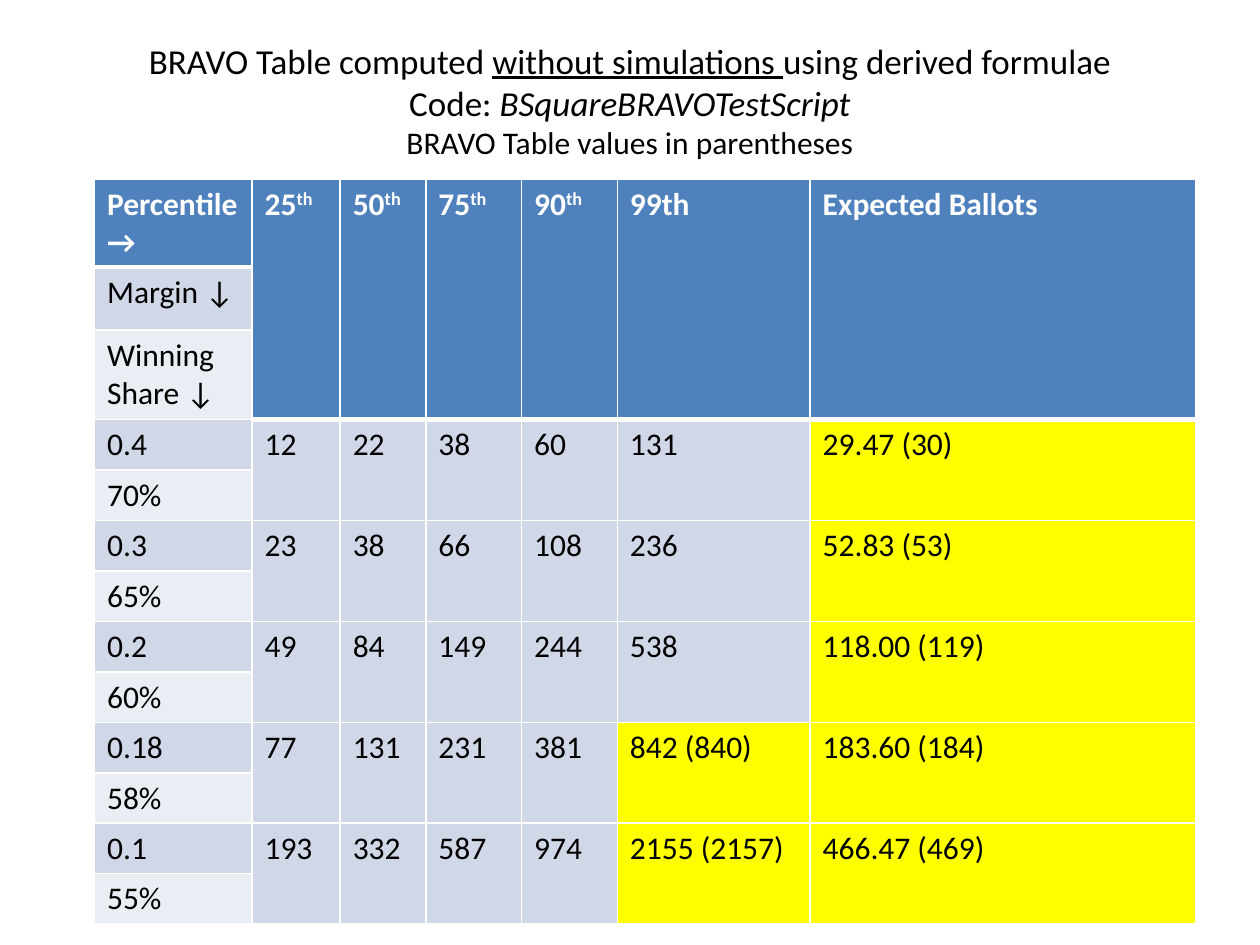
"""Builds the BRAVO table slide of percentiles and expected ballots."""
from dataclasses import dataclass

from lxml import etree
from pptx import Presentation
from pptx import util as u
from pptx.dml.color import RGBColor
from pptx.enum import text
from pptx.oxml.ns import qn

FONT = "Calibri"
BLACK, WHITE, YELLOW = "000000", "FFFFFF", "FFFF00"
BLUE, BAND, LIGHT = "4F81BD", "D0D8E8", "E9EDF4"
COLS = [1.25, 0.7, 0.68, 0.76, 0.76, 1.53, 3.06]
ROWS = [0.7, 0.5, 0.71] + [0.4] * 10
HEAD_ROWS, GROUP_ROWS = 3, 2
HEADERS = ["25th", "50th", "75th", "90th", "99th", "Expected Ballots"]


@dataclass
class Part:
    text: str
    size: int = 20
    underline: bool = False
    italic: bool = False
    ends_line: bool = False


@dataclass
class Group:
    margin: str
    share: str
    values: list[str]


TITLE = [
    Part("BRAVO Table computed "),
    Part("without simulations ", underline=True),
    Part("using derived formulae", ends_line=True),
    Part("Code: "),
    Part("BSquareBRAVOTestScript", italic=True, ends_line=True),
    Part("BRAVO Table values in parentheses", size=18),
]
GROUPS = [
    Group("0.4", "70%", ["12", "22", "38", "60", "131", "29.47 (30)"]),
    Group("0.3", "65%", ["23", "38", "66", "108", "236", "52.83 (53)"]),
    Group("0.2", "60%", ["49", "84", "149", "244", "538", "118.00 (119)"]),
    Group("0.18", "58%", ["77", "131", "231", "381", "842 (840)", "183.60 (184)"]),
    Group("0.1", "55%", ["193", "332", "587", "974", "2155 (2157)", "466.47 (469)"]),
]


def rgb(value: str) -> RGBColor:
    return RGBColor.from_string(value)


def style(r, size: int, color: str, bold: bool = False) -> None:
    r.font.name, r.font.size, r.font.bold = FONT, u.Pt(size), bold
    r.font.color.rgb = rgb(color)


def add_title(slide) -> None:
    sp = slide.shapes.add_textbox(u.Inches(0.5), u.Inches(0.17), u.Inches(9), u.Inches(1.25))
    tf = sp.text_frame
    tf.word_wrap = True
    tf.vertical_anchor = text.MSO_ANCHOR.MIDDLE
    p = tf.paragraphs[0]
    p.alignment = text.PP_ALIGN.CENTER
    for part in TITLE:
        r = p.add_run()
        r.text = part.text
        style(r, part.size, BLACK)
        r.font.underline, r.font.italic = part.underline, part.italic
        if part.ends_line:
            p.add_line_break()


def set_borders(cell, bottom: float) -> None:
    tc_pr = cell._tc.get_or_add_tcPr()
    for i, (side, width) in enumerate(zip("LRTB", [1, 1, 1, bottom])):
        ln = etree.Element(qn(f"a:ln{side}"), w=str(u.Pt(width)))
        fill = etree.SubElement(ln, qn("a:solidFill"))
        etree.SubElement(fill, qn("a:srgbClr"), val=WHITE)
        tc_pr.insert(i, ln)


def fill_cell(cell, content: str, fill: str, header: bool = False) -> None:
    cell.fill.solid()
    cell.fill.fore_color.rgb = rgb(fill)
    cell.text_frame.text = content
    for p in cell.text_frame.paragraphs:
        for r in p.runs:
            style(r, 18, WHITE if header else BLACK, header)


def raise_suffix(cell) -> None:
    p = cell.text_frame.paragraphs[0]
    number = p.runs[0]
    number.text = number.text.removesuffix("th")
    r = p.add_run()
    r.text = "th"
    style(r, 18, WHITE, True)
    r._r.get_or_add_rPr().set("baseline", "30000")


def add_bravo_table(slide) -> None:
    frame = slide.shapes.add_table(len(ROWS), len(COLS), u.Inches(0.75), u.Inches(1.42),
                                   u.Inches(sum(COLS)), u.Inches(sum(ROWS)))
    table = frame.table
    table.first_row = table.horz_banding = False
    for column, width in zip(table.columns, COLS):
        column.width = u.Inches(width)
    for row, height in zip(table.rows, ROWS):
        row.height = u.Inches(height)

    fill_cell(table.cell(0, 0), "Percentile\n→", BLUE, True)
    fill_cell(table.cell(1, 0), "Margin ↓", BAND)
    fill_cell(table.cell(2, 0), "Winning Share ↓", LIGHT)
    for col, label in enumerate(HEADERS, 1):
        cell = table.cell(0, col)
        fill_cell(cell, label, BLUE, True)
        if col <= 4:
            raise_suffix(cell)
        cell.merge(table.cell(HEAD_ROWS - 1, col))

    for i, group in enumerate(GROUPS):
        top = HEAD_ROWS + i * GROUP_ROWS
        fill_cell(table.cell(top, 0), group.margin, BAND)
        fill_cell(table.cell(top + 1, 0), group.share, LIGHT)
        for col, value in enumerate(group.values, 1):
            cell = table.cell(top, col)
            fill_cell(cell, value, YELLOW if "(" in value else BAND)
            cell.merge(table.cell(top + GROUP_ROWS - 1, col))

    for row in range(len(ROWS)):
        for col in range(len(COLS)):
            header = row == 0 or (col > 0 and row < HEAD_ROWS)
            set_borders(table.cell(row, col), 3 if header else 1)


def main() -> None:
    prs = Presentation()
    prs.slide_width, prs.slide_height = u.Inches(10), u.Inches(7.5)
    slide = prs.slides.add_slide(prs.slide_layouts[6])
    add_title(slide)
    add_bravo_table(slide)
    prs.save("out.pptx")


main()
